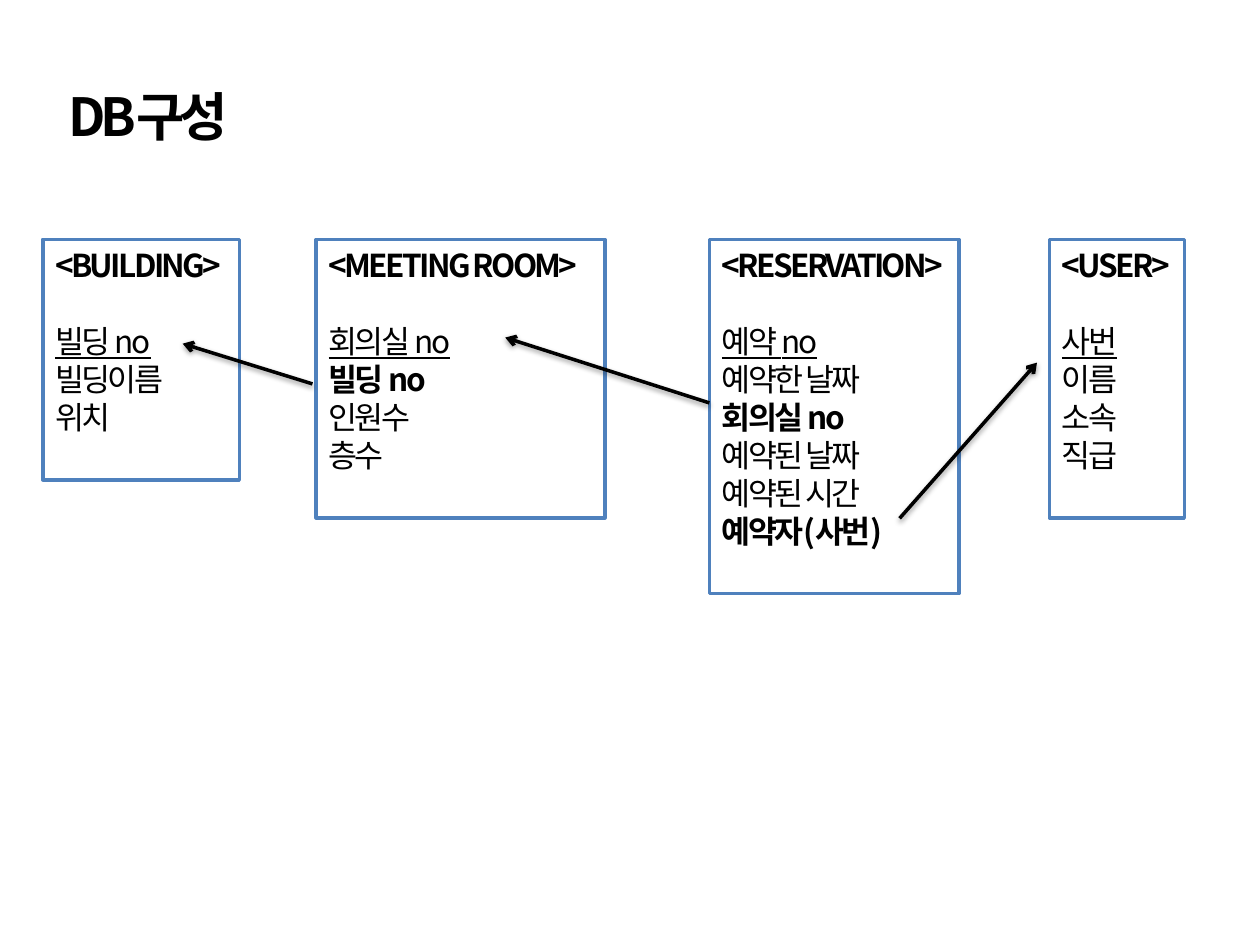
from dataclasses import dataclass

from lxml import etree
from pptx import Presentation
from pptx.dml.color import RGBColor
from pptx.enum import shapes, text
from pptx.oxml import ns
from pptx.util import Inches, Pt


@dataclass(frozen=True)
class Theme:
    font: str = "Noto Sans CJK KR"
    ink: RGBColor = RGBColor(0, 0, 0)
    paper: RGBColor = RGBColor(255, 255, 255)
    border: RGBColor = RGBColor(0x4F, 0x81, 0xBD)
    title_size: float = 30
    body_size: float = 18
    title_tracking: int = -300
    body_tracking: int = -150
    line_width: float = 2


THEME = Theme()
WIDTH, HEIGHT = Inches(10), Inches(7.5)
ROW = Pt(21.7)
INSET = Inches(0.05)
TABLES_TOP = Inches(1.9)

TABLES = [
    (0.563, 0.198, 9, "<RESERVATION>",
     ["예약 no", "예약한 날짜", "회의실 no", "예약된 날짜", "예약된 시간", "예약자(사번)"],
     {"회의실 no", "예약자(사번)"}),
    (0.034, 0.156, 6, "<BUILDING>", ["빌딩 no", "빌딩이름", "위치"], set()),
    (0.251, 0.229, 7, "<MEETING ROOM>",
     ["회의실 no", "빌딩 no", "인원수", "층수"], {"빌딩 no"}),
    (0.833, 0.107, 7, "<USER>", ["사번", "이름", "소속", "직급"], set()),
]

REFERENCES = [
    ((0.248, 3.64), (0.145, 2.58)),
    ((0.563, 4.14), (0.401, 2.42)),
    ((0.714, 7.18), (0.823, 3.08)),
]


def across(share):
    return round(WIDTH * share)


def row_y(row):
    return round(TABLES_TOP + INSET + ROW * row)


def apply(target, values):
    for name, value in values.items():
        setattr(target, name, value)


def child(parent, tag, **attributes):
    return etree.SubElement(parent, ns.qn(tag), attributes)


def add_run(paragraph, words, size, tracking, bold=False, underline=False):
    run = paragraph.add_run()
    run.text = words
    apply(run.font, {"name": THEME.font, "size": Pt(size),
                     "bold": bold, "underline": underline})
    run.font.color.rgb = THEME.ink
    properties = run.font._element
    properties.set("spc", str(tracking))
    child(properties, "a:ea", typeface=THEME.font)


def set_title(slide, words):
    title = slide.shapes.title
    apply(title, {"left": across(0.044), "top": Inches(0.29),
                  "width": across(0.9), "height": Inches(1.25)})
    title.text_frame.vertical_anchor = text.MSO_ANCHOR.MIDDLE
    paragraph = title.text_frame.paragraphs[0]
    paragraph.alignment = text.PP_ALIGN.JUSTIFY
    add_run(paragraph, words, THEME.title_size, THEME.title_tracking, bold=True)


def add_table_box(slide, left, width, rows, heading, fields, foreign_keys):
    shape = slide.shapes.add_shape(
        shapes.MSO_SHAPE.RECTANGLE, across(left), TABLES_TOP,
        across(width), ROW * rows + INSET * 2)
    shape.shadow.inherit = False
    shape.fill.solid()
    shape.fill.fore_color.rgb = THEME.paper
    shape.line.color.rgb = THEME.border
    shape.line.width = Pt(THEME.line_width)
    frame = shape.text_frame
    apply(frame, {"word_wrap": True, "vertical_anchor": text.MSO_ANCHOR.TOP,
                  "margin_left": INSET * 2, "margin_right": 0,
                  "margin_top": INSET, "margin_bottom": INSET})
    for index, words in enumerate([heading, *fields]):
        paragraph = frame.paragraphs[0] if index == 0 else frame.add_paragraph()
        apply(paragraph, {"alignment": text.PP_ALIGN.LEFT, "line_spacing": ROW,
                          "space_after": ROW if index == 0 else Pt(0)})
        add_run(paragraph, words, THEME.body_size, THEME.body_tracking,
                bold=index == 0 or words in foreign_keys, underline=index == 1)


def add_reference(slide, start, end):
    connector = slide.shapes.add_connector(
        shapes.MSO_CONNECTOR.STRAIGHT, across(start[0]), row_y(start[1]),
        across(end[0]), row_y(end[1]))
    connector.line.color.rgb = THEME.ink
    connector.line.width = Pt(THEME.line_width)
    child(connector.line._get_or_add_ln(), "a:tailEnd", type="arrow")
    effects = child(connector._element.spPr, "a:effectLst")
    shadow = child(effects, "a:outerShdw", blurRad=str(Pt(3.1)),
                   dist=str(Pt(1.6)), dir="5400000", rotWithShape="0")
    color = child(shadow, "a:srgbClr", val=str(THEME.ink))
    child(color, "a:alpha", val="38000")


def main():
    presentation = Presentation()
    apply(presentation, {"slide_width": WIDTH, "slide_height": HEIGHT})
    slide = presentation.slides.add_slide(presentation.slide_layouts[5])
    set_title(slide, "DB구성")
    for table in TABLES:
        add_table_box(slide, *table)
    for start, end in REFERENCES:
        add_reference(slide, start, end)
    presentation.save("out.pptx")


if __name__ == "__main__":
    main()
